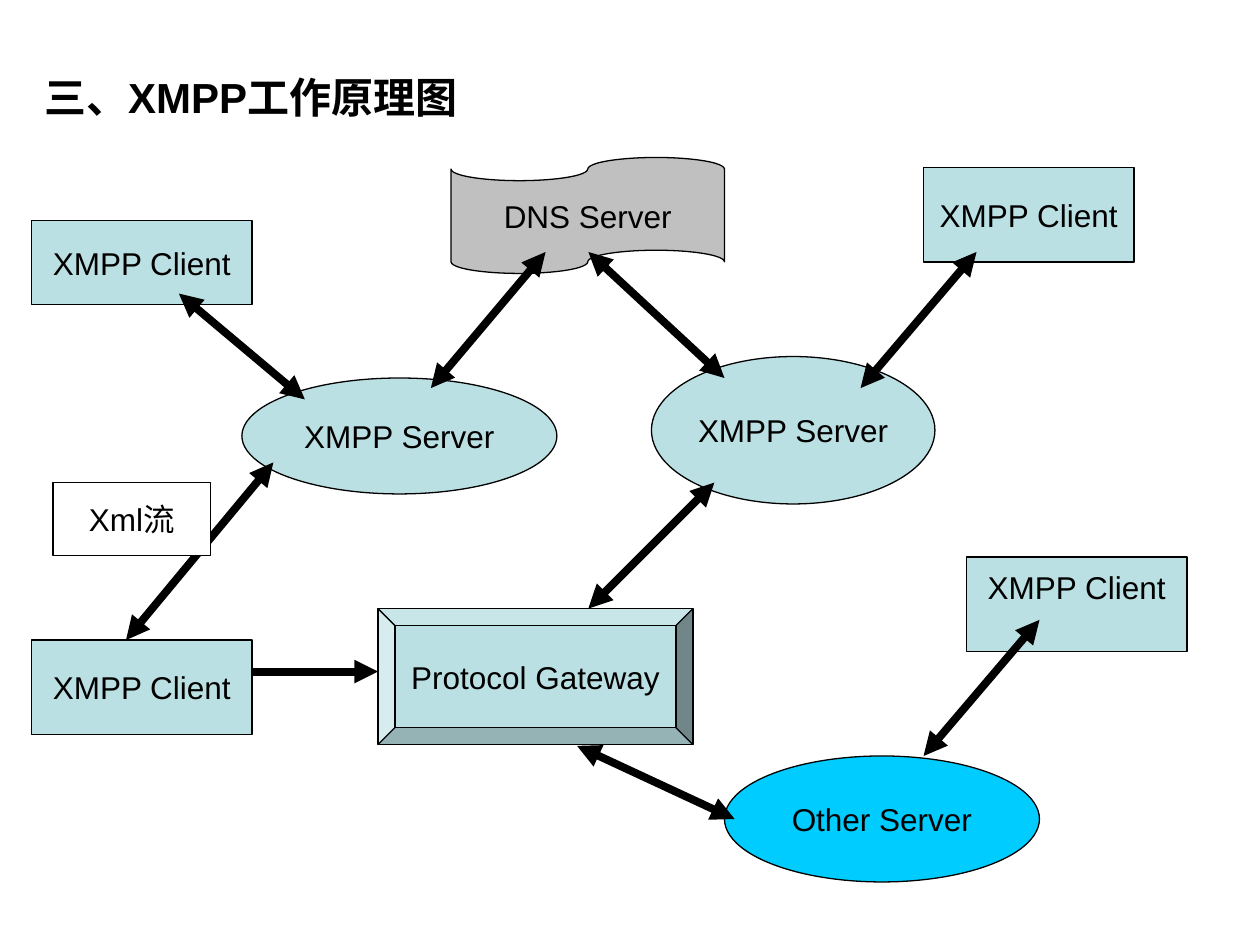
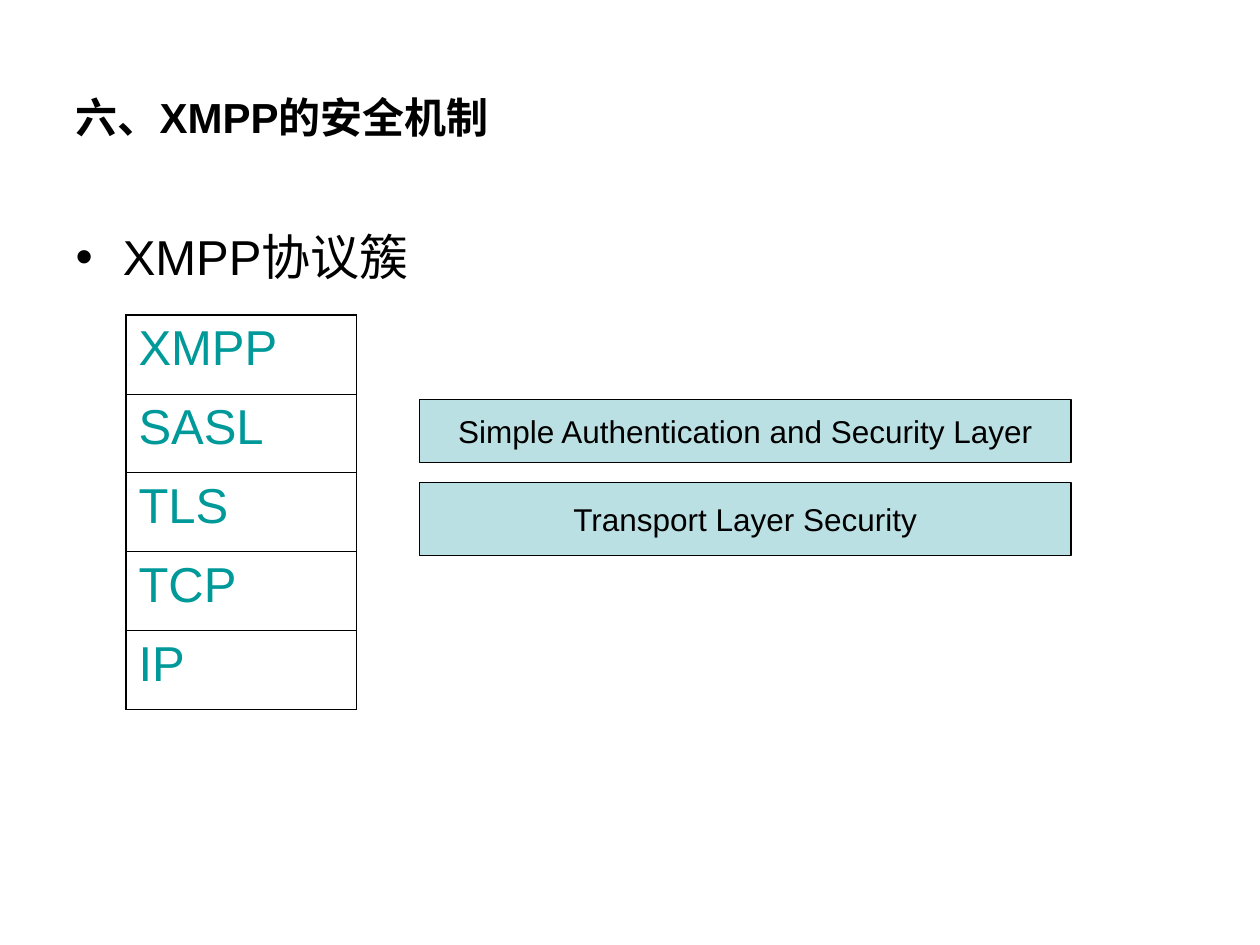
from typing import NamedTuple

from lxml import etree
from pptx import Presentation
from pptx.dml.color import RGBColor
from pptx.enum.shapes import MSO_CONNECTOR, MSO_SHAPE
from pptx.enum.text import MSO_ANCHOR, MSO_AUTO_SIZE, PP_ALIGN
from pptx.oxml.ns import qn
from pptx.util import Inches, Pt

RECT, OVAL = MSO_SHAPE.RECTANGLE, MSO_SHAPE.OVAL
TAPE, BEVEL = MSO_SHAPE.FLOWCHART_PUNCHED_TAPE, MSO_SHAPE.BEVEL
STRAIGHT = MSO_CONNECTOR.STRAIGHT
MIDDLE, TOP = MSO_ANCHOR.MIDDLE, MSO_ANCHOR.TOP
LEFT, CENTER = PP_ALIGN.LEFT, PP_ALIGN.CENTER
NO_AUTOFIT = MSO_AUTO_SIZE.NONE

BLACK = RGBColor(0x00, 0x00, 0x00)
WHITE = RGBColor(0xFF, 0xFF, 0xFF)
PALE_TEAL = RGBColor(0xBB, 0xE0, 0xE3)
GRAY = RGBColor(0xC0, 0xC0, 0xC0)
CYAN = RGBColor(0x00, 0xCC, 0xFF)
TEAL = RGBColor(0x00, 0x99, 0x99)

FONT = "Arial"
TITLE_FONT = {"name": FONT, "size": Pt(24), "bold": True}
LABEL_FONT = {"name": FONT, "size": Pt(18)}
BODY_FONT = {"name": FONT, "size": Pt(28)}

CONTENT_LAYOUT, TITLE_ONLY_LAYOUT = 1, 5
ROW_HEIGHT = 0.626
OUTER_BORDER, INNER_BORDER = Pt(1.08), Pt(0.45)


class Node(NamedTuple):
    text: str
    left: float
    top: float
    width: float
    height: float
    kind: MSO_SHAPE = RECT
    fill: RGBColor = PALE_TEAL
    bottom_inset: float = 0.05


class Arrow(NamedTuple):
    x1: float
    y1: float
    x2: float
    y2: float
    two_way: bool = True


CLIENT, SERVER = "XMPP Client", "XMPP Server"
NODES = [
    Node(CLIENT, 0.25, 1.75, 1.75, 0.67),
    Node(CLIENT, 0.25, 5.08, 1.75, 0.75),
    Node(SERVER, 1.92, 3, 2.5, 0.92, OVAL),
    Node("DNS Server", 3.58, 1.25, 2.17, 0.92, TAPE, GRAY),
    Node(SERVER, 5.17, 2.83, 2.25, 1.17, OVAL),
    Node("Other Server", 5.75, 6, 2.5, 1, OVAL, CYAN),
    Node(CLIENT, 7.67, 4.42, 1.75, 0.75, bottom_inset=0.33),
    Node(CLIENT, 7.33, 1.33, 1.67, 0.75),
]
ARROWS = [
    Arrow(2.17, 3.67, 1, 5.08),
    Arrow(1.42, 2.33, 2.42, 3.17),
    Arrow(5.67, 3.83, 4.67, 4.83),
    Arrow(7.75, 2, 6.83, 3.08),
    Arrow(4.67, 2, 5.75, 3),
    Arrow(4.33, 2, 3.42, 3.08),
    Arrow(5.83, 6.5, 4.58, 5.92),
    Arrow(8.25, 4.92, 7.33, 6),
    Arrow(2, 5.33, 3, 5.33, two_way=False),
]
FRONT_NODES = [
    Node("Xml流", 0.42, 3.83, 1.25, 0.58, fill=WHITE),
    Node("Protocol Gateway", 3, 4.83, 2.5, 1.08, BEVEL),
]
PROTOCOLS = ["XMPP", "SASL", "TLS", "TCP", "IP"]
LAYER_NAMES = [
    Node("Simple Authentication and Security Layer", 3.33, 3.17, 5.17, 0.5),
    Node("Transport Layer Security", 3.33, 3.83, 5.17, 0.58),
]


def write(tf, text: str, font: dict, align=LEFT, color: RGBColor = BLACK):
    p = tf.paragraphs[0]
    p.alignment = align
    r = p.add_run()
    r.text = text
    for name, value in font.items():
        setattr(r.font, name, value)
    r.font.color.rgb = color
    return p


def fill_placeholder(sp, text: str, box: tuple, font: dict, anchor):
    """Move a placeholder to box and write its text."""
    sp.left, sp.top, sp.width, sp.height = map(Inches, box)
    tf = sp.text_frame
    tf.auto_size = NO_AUTOFIT
    tf.vertical_anchor = anchor
    return write(tf, text, font)


def add_titled_slide(prs, layout: int, title: str, box: tuple):
    s = prs.slides.add_slide(prs.slide_layouts[layout])
    fill_placeholder(s.shapes.title, title, box, TITLE_FONT, MIDDLE)
    return s


def add_node(s, node: Node) -> None:
    box = map(Inches, (node.left, node.top, node.width, node.height))
    sp = s.shapes.add_shape(node.kind, *box)
    sp.shadow.inherit = False
    sp.fill.solid()
    sp.fill.fore_color.rgb = node.fill
    sp.line.color.rgb = BLACK
    sp.line.width = Pt(0.75)
    tf = sp.text_frame
    tf.word_wrap = False
    tf.vertical_anchor = MIDDLE
    tf.margin_bottom = Inches(node.bottom_inset)
    write(tf, node.text, LABEL_FONT, CENTER)


def add_arrow(s, arrow: Arrow) -> None:
    ends = map(Inches, (arrow.x1, arrow.y1, arrow.x2, arrow.y2))
    line = s.shapes.add_connector(STRAIGHT, *ends)
    line.line.color.rgb = BLACK
    line.line.width = Pt(4.5)
    ln = line.line._get_or_add_ln()
    for tag in ("a:headEnd", "a:tailEnd") if arrow.two_way else ("a:tailEnd",):
        etree.SubElement(ln, qn(tag), type="triangle")
    etree.SubElement(line._element.spPr, qn("a:effectLst"))


def set_borders(cell, widths: dict) -> None:
    """Draw black cell borders; widths go by side in the order L, R, T, B."""
    tc_pr = cell._tc.get_or_add_tcPr()
    for i, (side, width) in enumerate(widths.items()):
        ln = etree.Element(qn(f"a:ln{side}"), w=str(int(width)))
        fill = etree.SubElement(ln, qn("a:solidFill"))
        etree.SubElement(fill, qn("a:srgbClr"), val=str(BLACK))
        tc_pr.insert(i, ln)


def add_protocol_stack(s) -> None:
    count = len(PROTOCOLS)
    frame = s.shapes.add_table(count, 1, Inches(1), Inches(2.5),
                               Inches(1.83), Inches(ROW_HEIGHT * count))
    table = frame.table
    table.first_row = table.horz_banding = False
    for i, protocol in enumerate(PROTOCOLS):
        table.rows[i].height = Inches(ROW_HEIGHT)
        cell = table.cell(i, 0)
        cell.fill.background()
        write(cell.text_frame, protocol, BODY_FONT, color=TEAL)
        set_borders(cell, {
            "L": OUTER_BORDER,
            "R": OUTER_BORDER,
            "T": OUTER_BORDER if i == 0 else INNER_BORDER,
            "B": OUTER_BORDER if i == count - 1 else INNER_BORDER,
        })


def add_principle_slide(prs) -> None:
    s = add_titled_slide(prs, TITLE_ONLY_LAYOUT, "三、XMPP工作原理图",
                         (0.25, 0.42, 9, 0.7))
    for node in NODES:
        add_node(s, node)
    for arrow in ARROWS:
        add_arrow(s, arrow)
    for node in FRONT_NODES:
        add_node(s, node)


def add_security_slide(prs) -> None:
    s = add_titled_slide(prs, CONTENT_LAYOUT, "六、XMPP的安全机制",
                         (0.5, 0.3, 9, 1.25))
    p = fill_placeholder(s.placeholders[1], "XMPP协议簇",
                         (0.5, 1.75, 4.42, 4.95), BODY_FONT, TOP)
    p.space_before = Pt(7)
    add_protocol_stack(s)
    for node in LAYER_NAMES:
        add_node(s, node)


def main() -> None:
    prs = Presentation()
    prs.slide_width, prs.slide_height = Inches(10), Inches(7.5)
    add_principle_slide(prs)
    add_security_slide(prs)
    prs.save("out.pptx")


if __name__ == "__main__":
    main()
